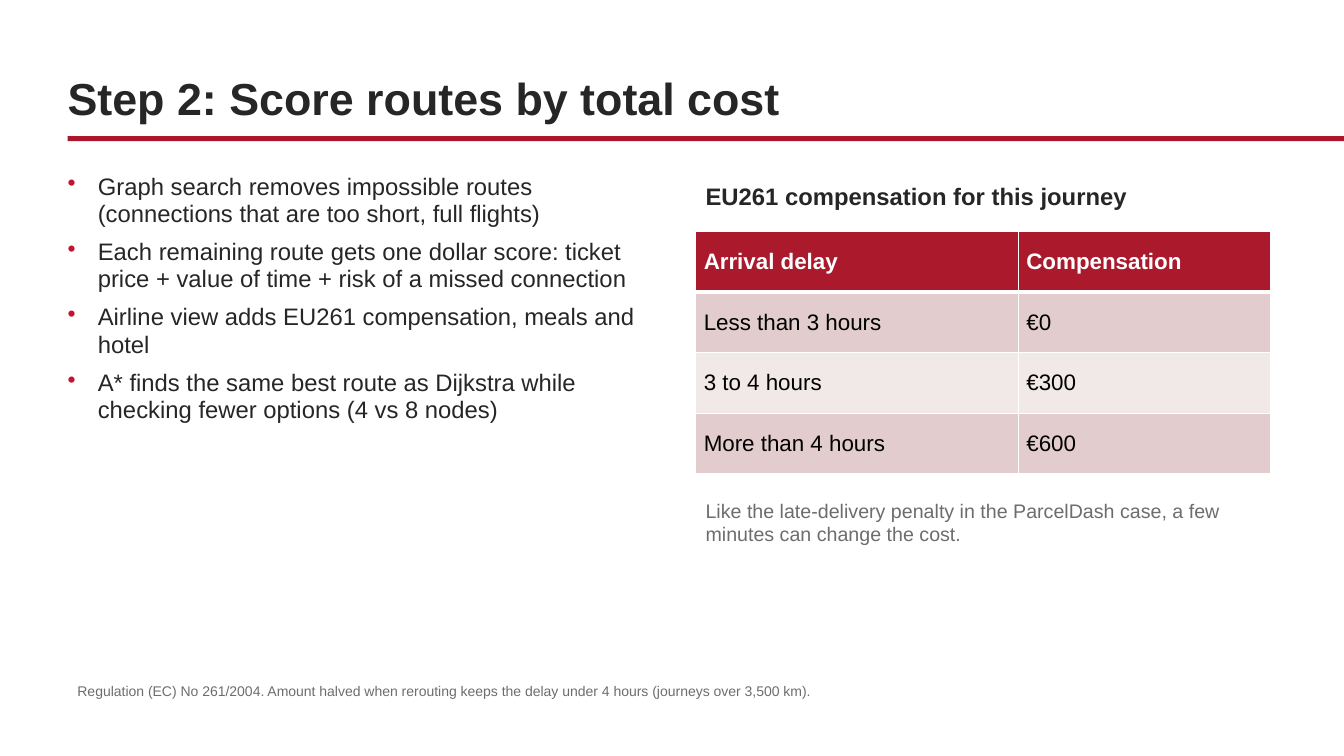
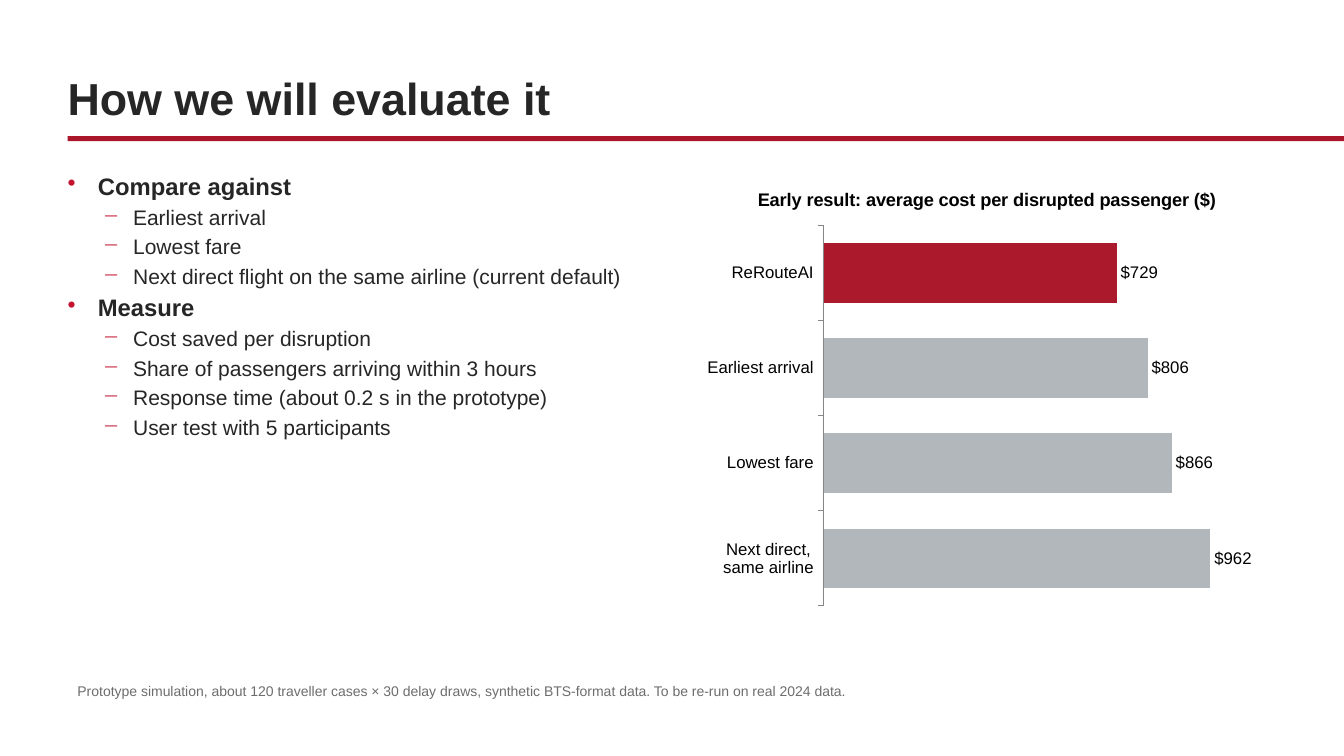
"""Builds two slides on scoring and evaluating flight routes."""
from lxml.etree import SubElement
from pptx import Presentation
from pptx.chart.data import CategoryChartData
from pptx.dml.color import RGBColor
from pptx.enum.chart import XL_CHART_TYPE, XL_LABEL_POSITION, XL_TICK_MARK
from pptx.enum.shapes import MSO_SHAPE
from pptx.enum.text import MSO_ANCHOR
from pptx.oxml.ns import qn
from pptx.util import Inches, Pt

FONT = "Arial"
HUES = {
    "ink": "272626", "note": "6D6D6D", "rule": "AB162B", "mark": "C4122F",
    "red": "AB192D", "gray": "B2B7BB", "axis": "868686", "dark": "E2CCCD",
    "pale": "F1E8E8", "white": "FFFFFF", "black": "000000",
}
WIDE, HIGH = 13.33, 7.5
LEFT, RIGHT = 0.67, 6.9
HALF = 5.7
LEVELS = [("•", 0.3, 17), ("─", 0.65, 15)]

SCORE = {
    "title": "Step 2: Score routes by total cost",
    "gap": 8,
    "points": [
        (0, False, "Graph search removes impossible routes (connections that are too short, full flights)"),
        (0, False, "Each remaining route gets one dollar score: ticket price + value of time + risk of a missed connection"),
        (0, False, "Airline view adds EU261 compensation, meals and hotel"),
        (0, False, "A* finds the same best route as Dijkstra while checking fewer options (4 vs 8 nodes)"),
    ],
    "foot": "Regulation (EC) No 261/2004. Amount halved when rerouting keeps the delay under 4 hours (journeys over 3,500 km).",
}
HEAD = "EU261 compensation for this journey"
ROWS = [
    ("Arrival delay", "Compensation"),
    ("Less than 3 hours", "€0"),
    ("3 to 4 hours", "€300"),
    ("More than 4 hours", "€600"),
]
COLS = (3.2, 2.5)
ROW = 0.6
NOTE = "Like the late-delivery penalty in the ParcelDash case, a few minutes can change the cost."

TEST = {
    "title": "How we will evaluate it",
    "gap": 4,
    "points": [
        (0, True, "Compare against"),
        (1, False, "Earliest arrival"),
        (1, False, "Lowest fare"),
        (1, False, "Next direct flight on the same airline (current default)"),
        (0, True, "Measure"),
        (1, False, "Cost saved per disruption"),
        (1, False, "Share of passengers arriving within 3 hours"),
        (1, False, "Response time (about 0.2 s in the prototype)"),
        (1, False, "User test with 5 participants"),
    ],
    "foot": "Prototype simulation, about 120 traveller cases × 30 delay draws, synthetic BTS-format data. To be re-run on real 2024 data.",
}
RESULT = "Early result: average cost per disrupted passenger ($)"
COSTS = {
    "ReRouteAI": 729, "Earliest arrival": 806,
    "Lowest fare": 866, "Next direct, same airline": 962,
}


def hue(name):
    return RGBColor.from_string(HUES[name])


def paint(fill, name):
    fill.solid()
    fill.fore_color.rgb = hue(name)


def style(font, size, name="ink", bold=False):
    font.name, font.size, font.bold = FONT, Pt(size), bold
    font.color.rgb = hue(name)


def write(para, text, size, name="ink", bold=False):
    run = para.add_run()
    run.text = text
    style(run.font, size, name, bold)


def frame(slide, left, top, width, height, inset=0.1):
    box = slide.shapes.add_textbox(*map(Inches, (left, top, width, height)))
    text = box.text_frame
    text.word_wrap = True
    text.margin_left = text.margin_right = Inches(inset)
    return text


def bullet(para, level):
    sign, indent, size = LEVELS[level]
    props = para._p.get_or_add_pPr()
    props.set("marL", str(Inches(indent)))
    props.set("indent", str(Inches(-0.3)))
    shade = SubElement(props, qn("a:buClr"))
    SubElement(shade, qn("a:srgbClr")).set("val", HUES["mark"])
    SubElement(props, qn("a:buChar")).set("char", sign)
    para.level = level
    para.line_spacing = 0.95
    return size


def base(deck, page):
    slide = deck.slides.add_slide(deck.slide_layouts[6])
    paint(slide.background.fill, "white")
    rule = slide.shapes.add_shape(
        MSO_SHAPE.RECTANGLE, *map(Inches, (LEFT, 1.35, WIDE - LEFT, 0.05)))
    rule.shadow.inherit = False
    paint(rule.fill, "rule")
    rule.line.fill.background()

    title = frame(slide, LEFT, 0.4, 12, 0.88, 0)
    title.vertical_anchor = MSO_ANCHOR.BOTTOM
    title.paragraphs[0].line_spacing = Pt(38)
    write(title.paragraphs[0], page["title"], 32, bold=True)

    body = frame(slide, LEFT, 1.67, 5.78, 4.92, 0)
    for at, (level, bold, text) in enumerate(page["points"]):
        para = body.add_paragraph() if at else body.paragraphs[0]
        size = bullet(para, level)
        if at:
            para.space_before = Pt(page["gap"])
        write(para, text, size, bold=bold)

    foot = frame(slide, LEFT, 6.72, 9, 0.35)
    write(foot.paragraphs[0], page["foot"], 10, "note")
    return slide


def edge(cell, side, width):
    line = SubElement(cell._tc.get_or_add_tcPr(), qn("a:ln" + side))
    line.set("w", str(Pt(width)))
    fill = SubElement(line, qn("a:solidFill"))
    SubElement(fill, qn("a:srgbClr")).set("val", HUES["white"])


def pay_table(slide):
    grid = slide.shapes.add_table(
        len(ROWS), len(COLS),
        *map(Inches, (RIGHT, 2.3, HALF, ROW * len(ROWS)))).table
    for col, width in zip(grid.columns, COLS):
        col.width = Inches(width)
    for y, texts in enumerate(ROWS):
        grid.rows[y].height = Inches(ROW)
        for x, text in enumerate(texts):
            cell = grid.cell(y, x)
            cell.vertical_anchor = MSO_ANCHOR.MIDDLE
            cell.margin_left = cell.margin_right = Inches(0.08)
            top, low = (3 if y == 1 else 1), (3 if y == 0 else 1)
            for side, width in zip("LRTB", (1, 1, top, low)):
                edge(cell, side, width)
            paint(cell.fill, ("dark" if y % 2 else "pale") if y else "red")
            write(cell.text_frame.paragraphs[0], text, 16,
                  "black" if y else "white", y == 0)


def cost_chart(slide):
    data = CategoryChartData()
    data.categories = list(COSTS)
    data.add_series("Series 1", list(COSTS.values()))
    chart = slide.shapes.add_chart(
        XL_CHART_TYPE.BAR_CLUSTERED,
        *map(Inches, (RIGHT, 1.7, 5.77, 4.4)), data).chart
    style(chart.font, 18, "black")
    chart.has_legend = False
    chart.has_title = True
    write(chart.chart_title.text_frame.paragraphs[0], RESULT, 13, "black", True)
    chart.chart_title.include_in_layout = False

    names, scale = chart.category_axis, chart.value_axis
    names.reverse_order = True
    names.major_tick_mark = XL_TICK_MARK.OUTSIDE
    names.format.line.color.rgb = hue("axis")
    style(names.tick_labels.font, 12, "black")
    scale.minimum_scale, scale.maximum_scale = 0, 1100
    scale.has_major_gridlines = False
    scale.visible = False

    plot = chart.plots[0]
    plot.gap_width = 60
    plot.vary_by_categories = False
    bars = plot.series[0]
    paint(bars.format.fill, "red")
    for at in range(len(COSTS)):
        paint(bars.points[at].format.fill, "gray" if at else "red")
    labels = bars.data_labels
    labels.show_value = True
    labels.position = XL_LABEL_POSITION.OUTSIDE_END
    labels.number_format = "$#,##0"
    labels.number_format_is_linked = False
    style(labels.font, 12, "black")


def main():
    deck = Presentation()
    deck.slide_width, deck.slide_height = Inches(WIDE), Inches(HIGH)

    slide = base(deck, SCORE)
    head = frame(slide, RIGHT, 1.75, HALF, 0.4)
    write(head.paragraphs[0], HEAD, 17, bold=True)
    pay_table(slide)
    note = frame(slide, RIGHT, 4.9, HALF, 1)
    write(note.paragraphs[0], NOTE, 14, "note")

    cost_chart(base(deck, TEST))
    deck.save("out.pptx")


if __name__ == "__main__":
    main()
